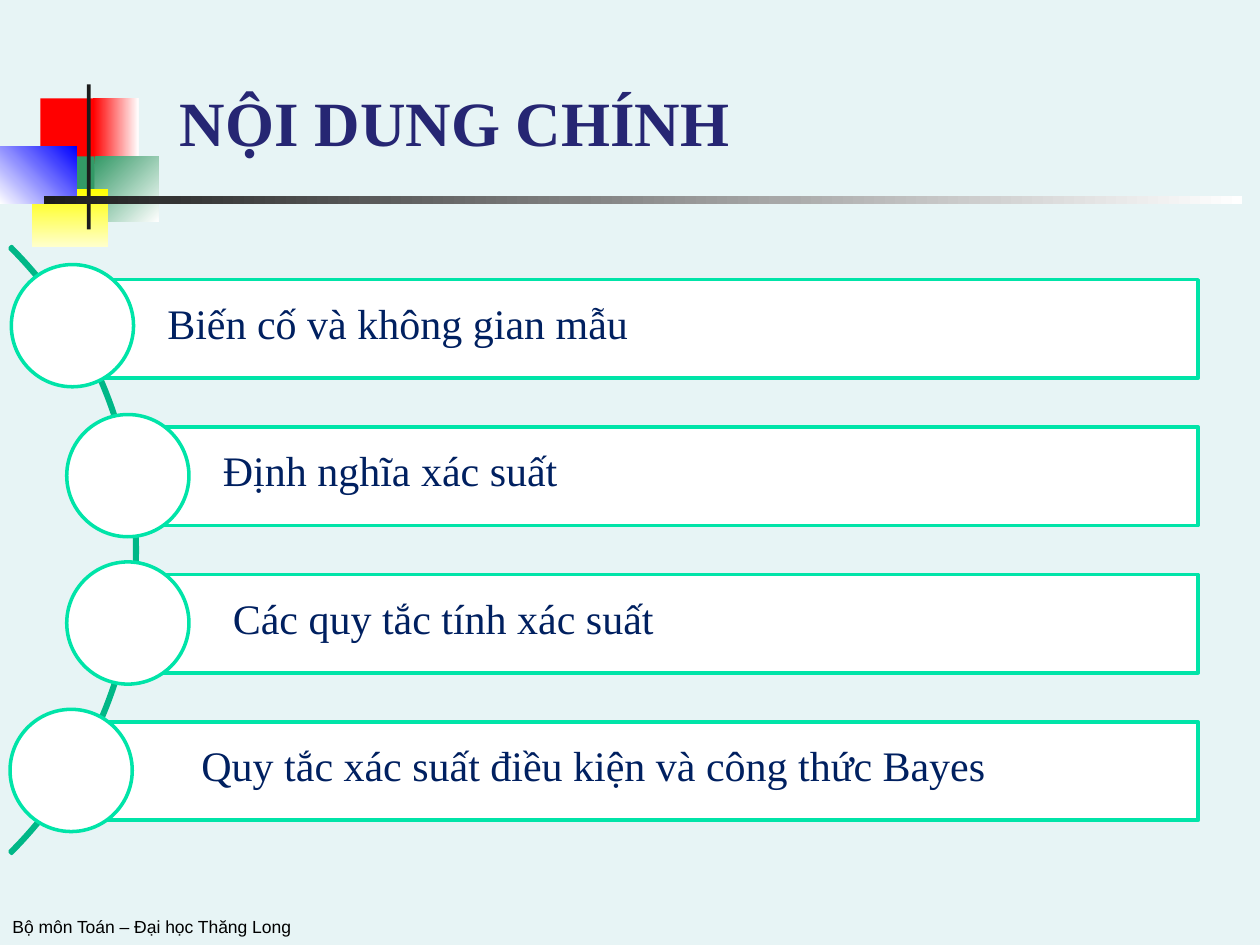
from pptx import Presentation
from pptx.dml.color import RGBColor
from pptx.enum.shapes import MSO_SHAPE
from pptx.enum.text import MSO_ANCHOR
from pptx.util import Inches, Pt

RECT, OVAL, BLOCK_ARC = MSO_SHAPE.RECTANGLE, MSO_SHAPE.OVAL, MSO_SHAPE.BLOCK_ARC
TOP, BOTTOM = MSO_ANCHOR.TOP, MSO_ANCHOR.BOTTOM

BACKGROUND = RGBColor(0xE7, 0xF4, 0xF5)
WHITE = RGBColor(0xFF, 0xFF, 0xFF)
BLACK = RGBColor(0x00, 0x00, 0x00)
DARK = RGBColor(0x1C, 0x1C, 0x1C)
RED = RGBColor(0xFF, 0x00, 0x00)
GREEN = RGBColor(0x33, 0x99, 0x66)
YELLOW = RGBColor(0xFF, 0xFF, 0x00)
PALE_YELLOW = RGBColor(0xFF, 0xFF, 0xCC)
BLUE = RGBColor(0x00, 0x00, 0xFF)
MINT = RGBColor(0x00, 0xE4, 0xA8)
ARC_GREEN = RGBColor(0x00, 0xB7, 0x87)
TITLE_BLUE = RGBColor(0x26, 0x26, 0x73)
NAVY = RGBColor(0x00, 0x20, 0x60)

SERIF = "Times New Roman"
TITLE_FONT = {"name": SERIF, "size": Pt(36), "bold": True}
TOPIC_FONT = {"name": SERIF, "size": Pt(24)}
FOOTER_FONT = {"name": "Arial", "size": Pt(10)}

# Corner ornament: left, top, width, height, colours, clockwise gradient angle
ORNAMENT = [
    (0.32, 0.78, 0.48, 0.52, [RED], 0),
    (0.74, 0.78, 0.36, 0.52, [RED, WHITE], 0),
    (0.75, 1.24, 0.51, 0.52, [GREEN, WHITE], 45),
    (0.43, 1.24, 0.32, 0.52, [GREEN], 0),
    (0.25, 1.5, 0.61, 0.46, [YELLOW, PALE_YELLOW], 90),
    (0, 1.16, 0.61, 0.46, [WHITE, BLUE], 315),
    (0.69, 0.67, 0.03, 1.15, [DARK], 0),
    (0.35, 1.56, 9.51, 0.06, [DARK, WHITE], 0),
]

# Topics: text, text left, bar left, circle left, circle top
TOPICS = [
    ("Biến cố và không gian mẫu", 1.23, 0.57, 0.09, 2.1),
    ("Định nghĩa xác suất", 1.67, 1.02, 0.53, 3.29),
    ("Các quy tắc tính xác suất", 1.75, 1.02, 0.53, 4.46),
    ("Quy tắc xác suất điều kiện và công thức Bayes", 1.5, 0.57, 0.08, 5.63),
]
BAR_TOP, BAR_STEP, BAR_HEIGHT, BAR_RIGHT = 2.22, 1.17, 0.78, 9.51
CIRCLE = 0.97


def add_box(s, kind, left, top, width, height, line=None):
    sp = s.shapes.add_shape(kind, Inches(left), Inches(top), Inches(width), Inches(height))
    sp.shadow.inherit = False
    if line is None:
        sp.line.fill.background()
    else:
        sp.line.color.rgb = line
        sp.line.width = Pt(2)
    return sp


def paint(sp, colors, angle=0):
    fill = sp.fill
    if len(colors) == 1:
        fill.solid()
        fill.fore_color.rgb = colors[0]
        return
    fill.gradient()
    fill.gradient_angle = (360 - angle) % 360
    for stop, color in zip(fill.gradient_stops, colors):
        stop.color.rgb = color


def add_text(s, text, left, top, width, height, font, color, anchor=TOP):
    tf = s.shapes.add_textbox(Inches(left), Inches(top), Inches(width), Inches(height)).text_frame
    tf.word_wrap = True
    tf.vertical_anchor = anchor
    r = tf.paragraphs[0].add_run()
    r.text = text
    for name, value in font.items():
        setattr(r.font, name, value)
    r.font.color.rgb = color


def add_arc(s):
    sp = add_box(s, BLOCK_ARC, -5.72, 0.96, 6.81, 6.81, ARC_GREEN)
    sp.fill.background()
    for i, value in enumerate((189, 27, 0.003)):
        sp.adjustments[i] = value


def add_topic(s, row, text, text_left, bar_left, circle_left, circle_top):
    top = BAR_TOP + row * BAR_STEP
    bar = add_box(s, RECT, bar_left, top, BAR_RIGHT - bar_left, BAR_HEIGHT, MINT)
    circle = add_box(s, OVAL, circle_left, circle_top, CIRCLE, CIRCLE, MINT)
    for sp in (bar, circle):
        paint(sp, [WHITE])
    add_text(s, text, text_left, top + 0.09, BAR_RIGHT - text_left, 0.5, TOPIC_FONT, NAVY)


def main():
    prs = Presentation()
    prs.slide_width, prs.slide_height = Inches(10), Inches(7.5)
    s = prs.slides.add_slide(prs.slide_layouts[6])
    s.background.fill.solid()
    s.background.fill.fore_color.rgb = BACKGROUND

    # Ornament and title
    for left, top, width, height, colors, angle in ORNAMENT:
        paint(add_box(s, RECT, left, top, width, height), colors, angle)
    add_text(s, "NỘI DUNG CHÍNH", 1.33, 0.58, 8.5, 0.73, TITLE_FONT, TITLE_BLUE, BOTTOM)

    # Topic list along the arc
    add_arc(s)
    for row, topic in enumerate(TOPICS):
        add_topic(s, row, *topic)

    # Footer
    add_text(s, "Bộ môn Toán – Đại học Thăng Long", 0, 7.22, 5.25, 0.28, FOOTER_FONT, BLACK)

    prs.save("out.pptx")


if __name__ == "__main__":
    main()
